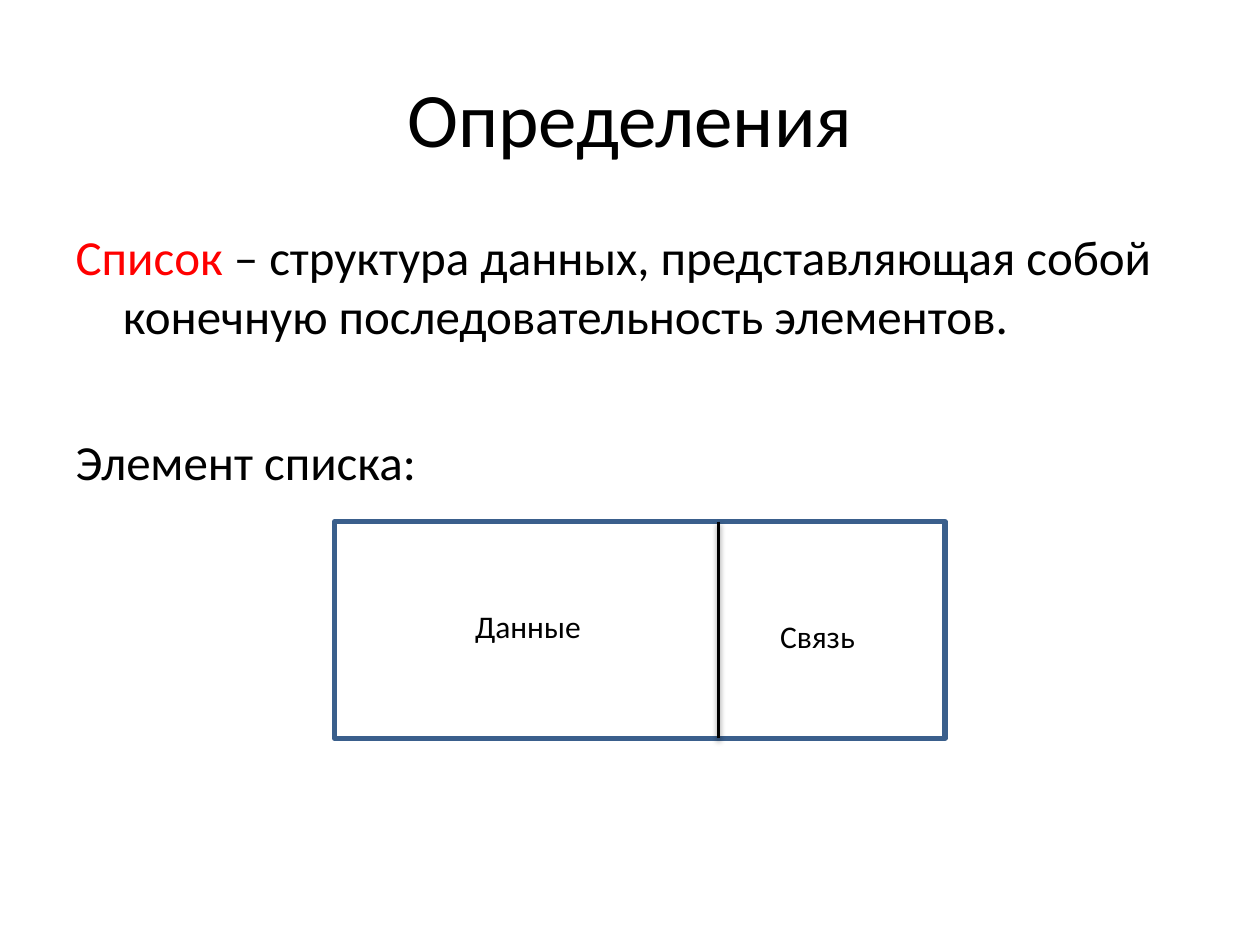
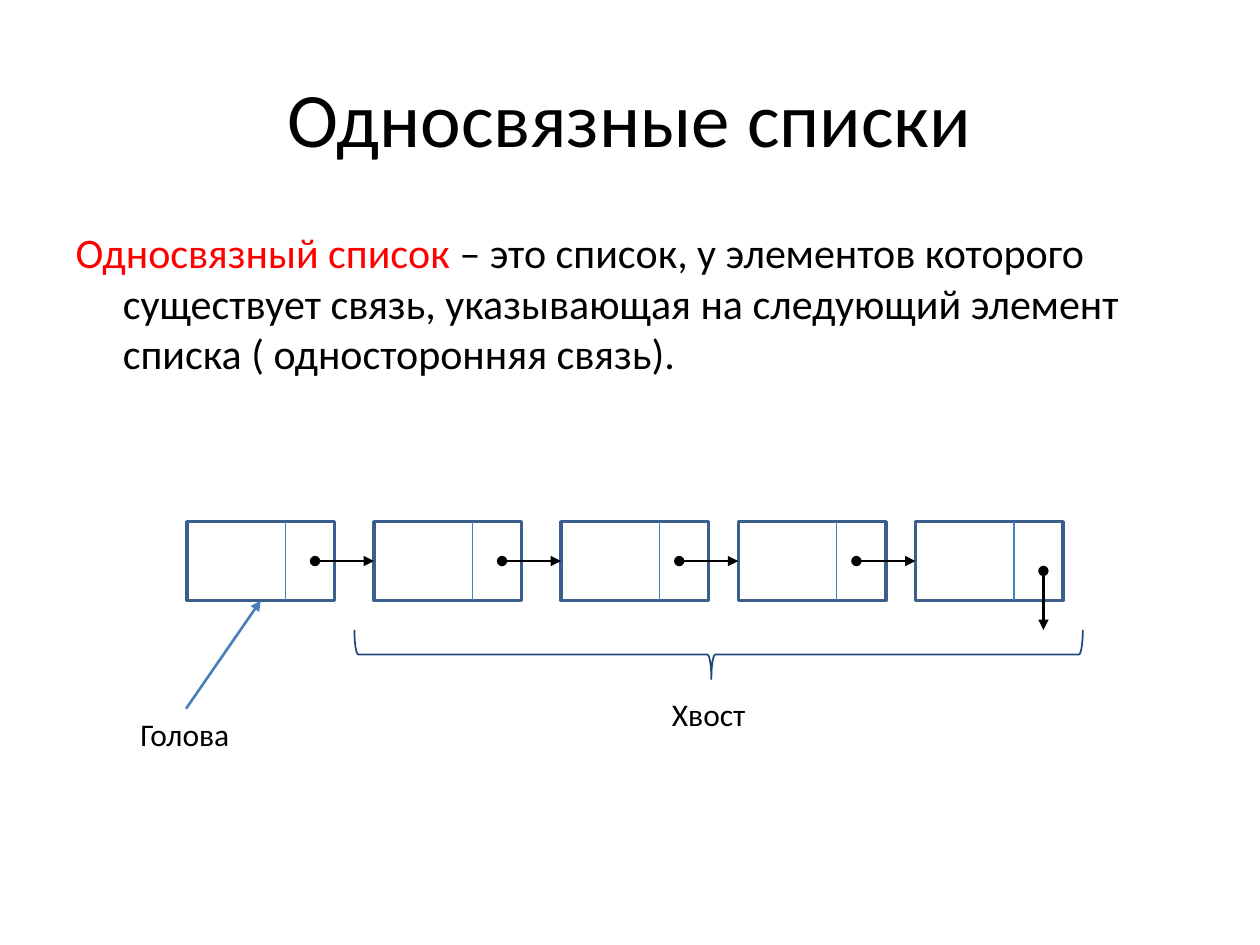
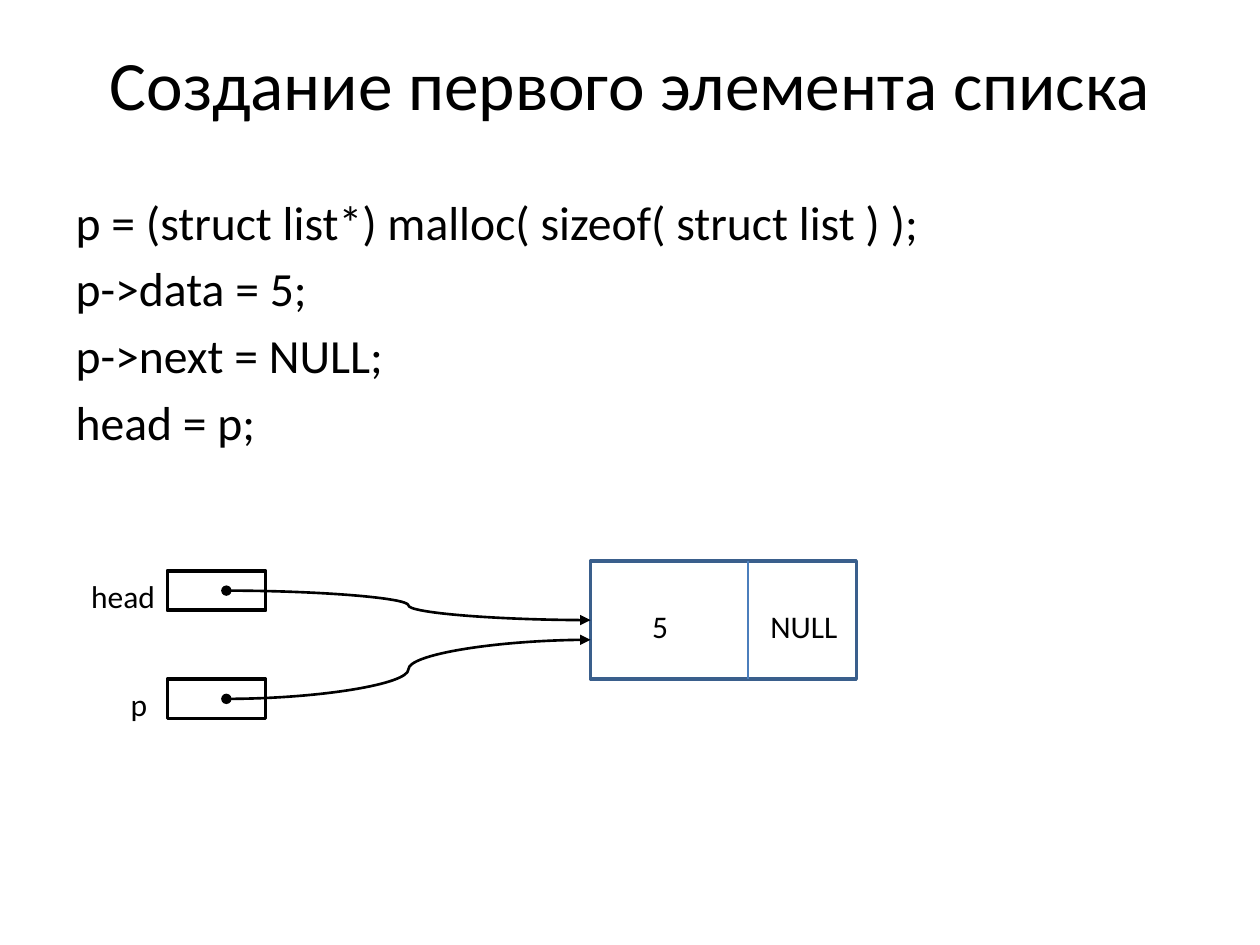
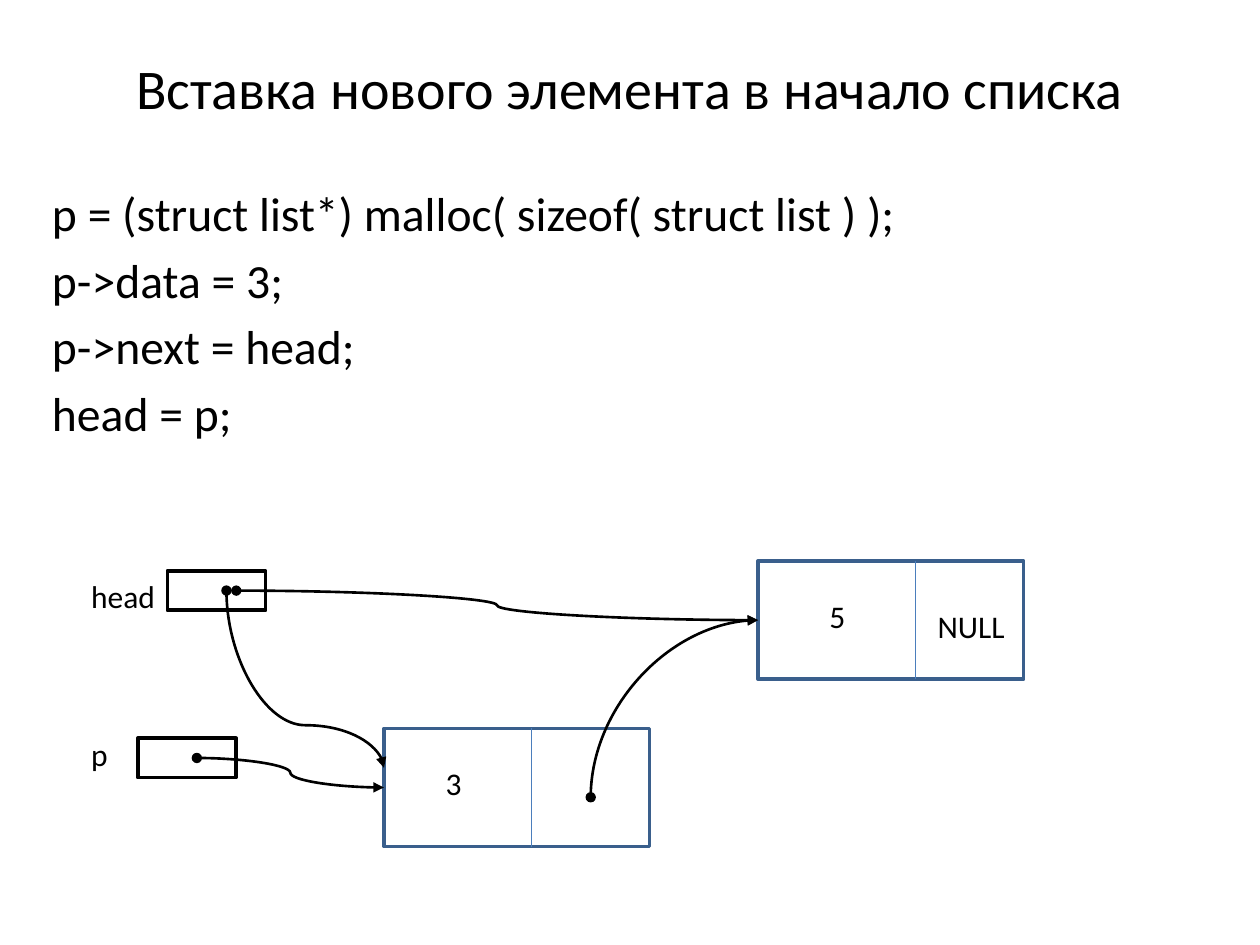
from lxml.etree import SubElement
from pptx import Presentation
from pptx.dml.color import RGBColor
from pptx.enum.shapes import MSO_CONNECTOR, MSO_SHAPE
from pptx.enum.text import MSO_ANCHOR, MSO_AUTO_SIZE, PP_ALIGN
from pptx.oxml.ns import qn
from pptx.util import Pt

BLACK = RGBColor(0x00, 0x00, 0x00)
RED = RGBColor(0xFF, 0x00, 0x00)
NODE_BLUE = RGBColor(0x3A, 0x5F, 0x8C)
LINE_BLUE = RGBColor(0x4B, 0x7E, 0xBC)
BRACE_BLUE = RGBColor(0x1F, 0x49, 0x7D)
FONT = "Calibri"
GRID = 45 / 8  # points in one step of the drawing grid
LABEL_HEIGHT = 29 / GRID
ROTATION_UNIT = 60000

# Title (text, size, height), body (left, top, height, size) in points;
# every body paragraph is a list of (text, colour) runs.
SLIDES = [
    {"title": ("Определения", 44, 90), "body": (36, 126, 160.5, 28),
     "text": [[("Список", RED),
               (" – структура данных, представляющая собой конечную "
                "последовательность элементов.", BLACK)],
              [("Элемент списка:", BLACK)]],
     "gap": 49.5},
    {"title": ("Односвязные списки", 44, 90), "body": (36, 126, 110, 24),
     "text": [[("Односвязный список ", RED),
               ("– это список, у элементов которого существует связь, "
                "указывающая на следующий элемент списка "
                "( односторонняя связь).", BLACK)]]},
    {"title": ("Создание первого элемента списка", 39.6, 52),
     "body": (36, 106.5, 140.5, 27.2),
     "text": [[(line, BLACK)] for line in (
         "p = (struct list*) malloc( sizeof( struct list ) );",
         "p->data = 5;", "p->next = NULL;", "head = p;")]},
    {"title": ("Вставка нового элемента в начало списка", 32, 57),
     "body": (22.5, 101.5, 140.5, 27.2),
     "text": [[(line, BLACK)] for line in (
         "p = (struct list*) malloc( sizeof( struct list ) );",
         "p->data = 3;", "p->next = head;", "head = p;")]},
]

# Drawings, in grid steps.
# Nodes: left, top, divider offset. Pointers: left, top.
# Labels: text, left, top, width, wrap.
# Curves: start, end, rotation, bend (None for a single arc).
CHAIN_LEFTS = [19, 38, 57, 75, 93]
CHAIN_TOP, CHAIN_WIDTH, CHAIN_HEIGHT = 53, 15, 8
MEMORY = {
    2: {"nodes": [(60, 57, 16)],
        "pointers": [(17, 58), (17, 69)],
        "labels": [("head", 8, 58, 9.2, True), ("p", 12, 69, 4.35, False),
                   ("5", 65, 61, 4.2, False), ("NULL", 77, 61, 9.5, False)],
        "curves": [((23, 60), (60, 63), 0, 0.5),
                   ((23, 71), (60, 65), 0, 0.5)]},
    3: {"nodes": [(77, 57, 16), (39, 74, 15)],
        "pointers": [(17, 58), (14, 75)],
        "labels": [("head", 8, 58, 9.2, True), ("p", 8, 74, 4.35, False),
                   ("5", 83, 60, 4.2, False), ("NULL", 94, 61, 9.5, False),
                   ("3", 44, 77, 4.2, False)],
        "curves": [((23, 60), (39, 78), 270, 0.76),
                   ((20, 77), (39, 80), 0, 0.5),
                   ((60, 81), (77, 63), 90, None),
                   ((24, 60), (77, 63), 0, 0.5)]},
}


def grid(*steps):
    """Turn grid steps into lengths."""
    return [Pt(n * GRID) for n in steps]


def add_run(p, text, size, color=BLACK):
    """Add one formatted run to a paragraph."""
    r = p.add_run()
    r.text = text
    for name, value in {"name": FONT, "size": Pt(size)}.items():
        setattr(r.font, name, value)
    r.font.color.rgb = color


def place(sp, left, top, width, height):
    """Move and size a placeholder, in points."""
    box = {"left": left, "top": top, "width": width, "height": height}
    for name, value in box.items():
        setattr(sp, name, Pt(value))


def add_text_slide(prs, content):
    """Add a slide with its title and unbulleted body."""
    s = prs.slides.add_slide(prs.slide_layouts[1])
    text, size, height = content["title"]
    place(s.shapes.title, 36, 21.5, 648, height)
    tf = s.shapes.title.text_frame
    tf.auto_size, tf.vertical_anchor = MSO_AUTO_SIZE.NONE, MSO_ANCHOR.MIDDLE
    tf.paragraphs[0].alignment = PP_ALIGN.CENTER
    add_run(tf.paragraphs[0], text, size)

    left, top, height, size = content["body"]
    body = s.placeholders[1]
    place(body, left, top, 648, height)
    tf = body.text_frame
    tf.auto_size = MSO_AUTO_SIZE.NONE
    for i, runs in enumerate(content["text"]):
        p = tf.add_paragraph() if i else tf.paragraphs[0]
        pPr = p._p.get_or_add_pPr()
        pPr.set("marL", str(Pt(27)))
        pPr.set("indent", str(-Pt(27)))
        SubElement(pPr, qn("a:buNone"))
        if i and "gap" in content:
            p.space_before = Pt(content["gap"])
        for text, color in runs:
            add_run(p, text, size, color)
    return s


def add_outline(s, left, top, width, height, color=NODE_BLUE, weight=2,
                kind=MSO_SHAPE.RECTANGLE):
    """Add an unfilled preset shape, placed in grid steps."""
    sp = s.shapes.add_shape(kind, *grid(left, top, width, height))
    sp.shadow.inherit = False
    sp.fill.background()
    sp.line.color.rgb = color
    sp.line.width = Pt(weight)
    return sp


def add_line(s, start, end, color=LINE_BLUE, weight=0.75, head=None,
             tail=None, kind=MSO_CONNECTOR.STRAIGHT):
    """Add a connector without shadow and with optional line ends."""
    c = s.shapes.add_connector(kind, *grid(*start, *end))
    c.line.color.rgb = color
    c.line.width = Pt(weight)
    spPr = c._element.spPr
    ln = spPr.find(qn("a:ln"))
    for tag, end_type in (("a:headEnd", head), ("a:tailEnd", tail)):
        if end_type:
            SubElement(ln, qn(tag), type=end_type)
    SubElement(spPr, qn("a:effectLst"))
    return c


def add_pointer_line(s, start, end, kind=MSO_CONNECTOR.STRAIGHT):
    """Add a black arrow that starts with a dot."""
    return add_line(s, start, end, BLACK, 1.5, "oval", "triangle", kind)


def add_curve(s, start, end, rotation, bend):
    """Add a curved pointer; a rotated one leaves its start vertically."""
    if rotation:
        turn = 1 if rotation == 90 else -1
        dx, dy = end[0] - start[0], end[1] - start[1]
        mid = (start[0] + end[0]) / 2, (start[1] + end[1]) / 2
        half = turn * dy / 2, -turn * dx / 2
        start = mid[0] - half[0], mid[1] - half[1]
        end = mid[0] + half[0], mid[1] + half[1]
    spPr = add_pointer_line(s, start, end, MSO_CONNECTOR.CURVE)._element.spPr
    if rotation:
        spPr.find(qn("a:xfrm")).set("rot", str(rotation * ROTATION_UNIT))
    geom = spPr.find(qn("a:prstGeom"))
    if bend is None:
        geom.set("prst", "curvedConnector2")
    else:
        SubElement(geom.find(qn("a:avLst")), qn("a:gd"), name="adj1",
                   fmla=f"val {round(bend * 100000)}")


def add_label(s, text, left, top, width, wrap=False):
    """Add an 18 point label, placed in grid steps."""
    tf = s.shapes.add_textbox(
        *grid(left, top, width, LABEL_HEIGHT)).text_frame
    tf.word_wrap = wrap
    tf.auto_size = MSO_AUTO_SIZE.SHAPE_TO_FIT_TEXT
    add_run(tf.paragraphs[0], text, 18)


def add_node(s, left, top, width, height, split):
    """Add a list node with the line between data and link."""
    add_outline(s, left, top, width, height)
    add_line(s, (left + split, top), (left + split, top + height))


def draw_element(s):
    """Draw one large list element with its two fields."""
    add_outline(s, 34, 53, 62, 22, weight=3)
    c = add_line(s, (73, 53), (73, 75), BLACK, 2)
    shadow = SubElement(c._element.spPr.find(qn("a:effectLst")),
                        qn("a:outerShdw"), blurRad=str(Pt(3.1)),
                        dist=str(Pt(1.6)), dir=str(90 * ROTATION_UNIT),
                        rotWithShape="0")
    color = SubElement(shadow, qn("a:srgbClr"), val=str(BLACK))
    SubElement(color, qn("a:alpha"), val="38000")
    add_label(s, "Данные", 47, 61, 15, True)
    add_label(s, "Связь", 78, 62, 12, True)


def draw_chain(s):
    """Draw the linked nodes with head and tail marked."""
    for left in CHAIN_LEFTS:
        add_node(s, left, CHAIN_TOP, CHAIN_WIDTH, CHAIN_HEIGHT, 10)
    link_y = CHAIN_TOP + CHAIN_HEIGHT / 2
    for left in CHAIN_LEFTS[1:]:
        add_pointer_line(s, (left - 6, link_y), (left, link_y))
    last_x = CHAIN_LEFTS[-1] + 13
    add_pointer_line(s, (last_x, 58), (last_x, 64))

    add_label(s, "Голова", 13, 72, 11.8)
    head_x = CHAIN_LEFTS[0] + CHAIN_WIDTH / 2
    add_line(s, (18.9, 72), (head_x, CHAIN_TOP + CHAIN_HEIGHT),
             weight=1.5, tail="triangle")
    brace = add_outline(s, 70.5, 29.5, 5, 74, BRACE_BLUE, 1,
                        MSO_SHAPE.RIGHT_BRACE)
    brace.rotation = 90
    brace.adjustments[0], brace.adjustments[1] = 0.08, 0.51
    add_label(s, "Хвост", 67, 70, 10.1)


def draw_memory(s, drawing):
    """Draw pointer variables, nodes, labels and curved pointers."""
    for left, top in drawing["pointers"]:
        add_outline(s, left, top, 10, 4, BLACK)
    for left, top, split in drawing["nodes"]:
        add_node(s, left, top, 27, 12, split)
    for label in drawing["labels"]:
        add_label(s, *label)
    for curve in drawing["curves"]:
        add_curve(s, *curve)


prs = Presentation()
prs.slide_width, prs.slide_height = Pt(720), Pt(540)
slides = [add_text_slide(prs, content) for content in SLIDES]
draw_element(slides[0])
draw_chain(slides[1])
for index, drawing in MEMORY.items():
    draw_memory(slides[index], drawing)
prs.save("out.pptx")
